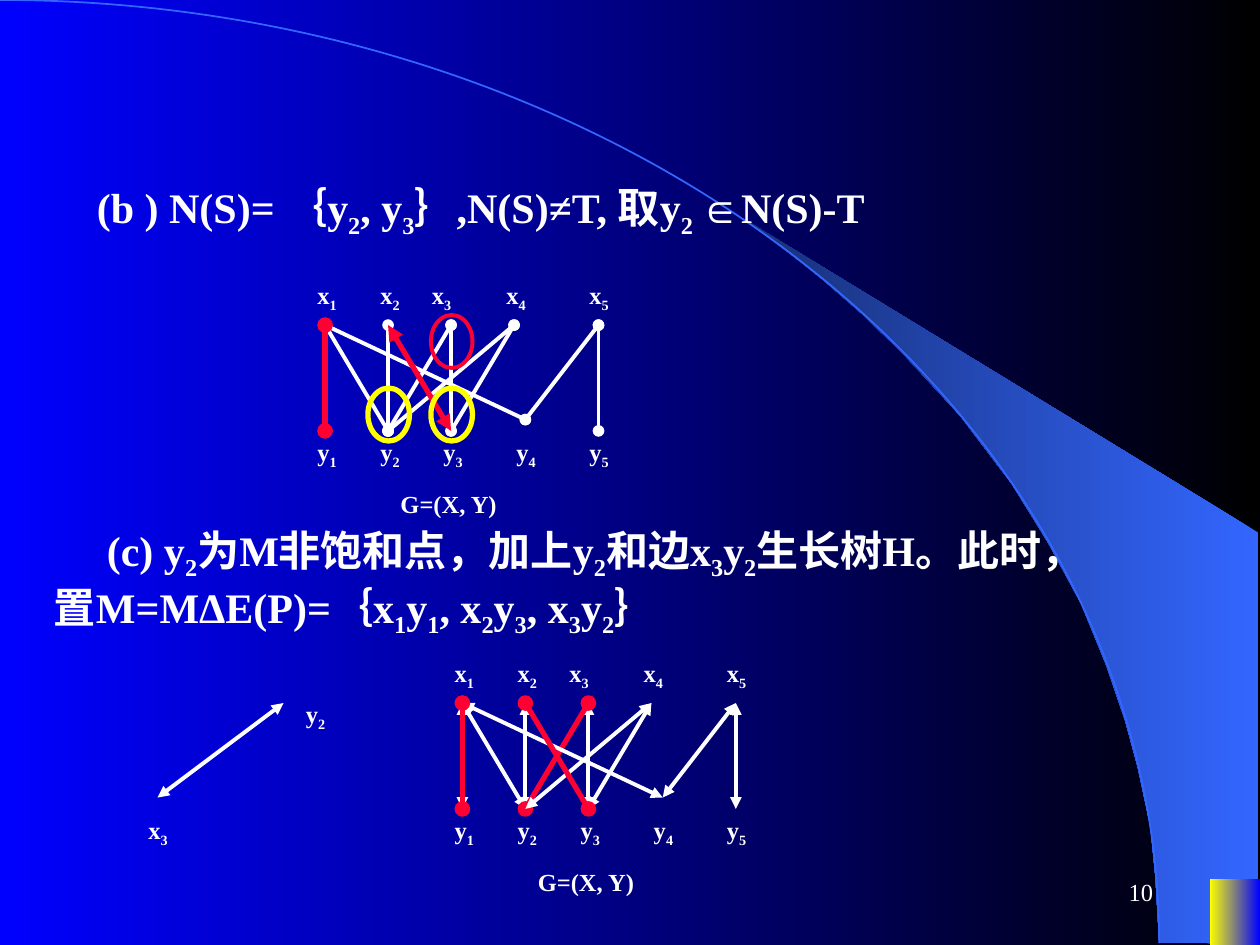
from pptx import Presentation
from pptx.dml.color import RGBColor
from pptx.enum.shapes import MSO_CONNECTOR, MSO_SHAPE
from pptx.enum.text import MSO_ANCHOR, PP_ALIGN
from pptx.oxml.ns import qn
from pptx.util import Inches, Pt
from lxml import etree

STRAIGHT = MSO_CONNECTOR.STRAIGHT
ARC, OVAL, RECT = MSO_SHAPE.ARC, MSO_SHAPE.OVAL, MSO_SHAPE.RECTANGLE
TOP, MIDDLE = MSO_ANCHOR.TOP, MSO_ANCHOR.MIDDLE
LEFT, RIGHT = PP_ALIGN.LEFT, PP_ALIGN.RIGHT
FONT = "Times New Roman"
COLORS = {
    "black": "000000", "blue": "0000FF", "sky": "3366FF", "navy": "172F75",
    "white": "FFFFFF", "red": "FF0033", "yellow": "FFFF00",
}

# Bipartite graph, measured from vertex x1
X_COLS = [0, 0.5, 1, 1.5, 2.17]
Y_COLS = [0, 0.5, 1, 1.59, 2.17]
Y_ROWS = [0.84, 0.84, 0.84, 0.75, 0.84]
X_LABELS = [-0.16, 0.34, 0.75, 1.34, 2]
Y_LABELS = [-0.16, 0.34, 0.84, 1.42, 2]
EDGES = [(1, 1), (2, 2), (3, 3), (5, 5), (1, 2), (3, 2),
         (5, 4), (1, 4), (4, 3), (4, 2), (2, 3)]

# Outer edge of the sweep, then its curved inner edge
SWEEP = [
    (9.2, 7.48), (9.99, 7.49), (9.99, 4.23), (5.89, 1.73), (6.24, 1.99),
    (6.53, 2.22), (6.85, 2.5), (7.16, 2.8), (7.62, 3.3), (8.03, 3.84),
    (8.32, 4.31), (8.58, 4.79), (8.78, 5.28), (8.93, 5.72), (9.03, 6.09),
    (9.13, 6.56), (9.17, 6.96),
]


def rgb(name):
    return RGBColor.from_string(COLORS[name])


def set_gradient(fill, right, left):
    fill.gradient()
    fill.gradient_angle = 180
    for stop, name in zip(fill.gradient_stops, (right, left)):
        stop.color.rgb = rgb(name)


def add_text(shapes, text, x, y, w, h, size=14, bold=True, align=LEFT,
             anchor=TOP, indent=0):
    """Add a text box; the parts of text between bars are subscripts."""
    tf = shapes.add_textbox(Inches(x), Inches(y), Inches(w), Inches(h)).text_frame
    tf.word_wrap = True
    tf.vertical_anchor = anchor
    p = tf.paragraphs[0]
    p.alignment = align
    if indent:
        p._p.get_or_add_pPr().set("indent", str(Inches(indent)))
    for i, part in enumerate(text.split("|")):
        if not part:
            continue
        r = p.add_run()
        r.text = part
        r.font.name, r.font.size, r.font.bold = FONT, Pt(size), bold
        r.font.color.rgb = rgb("white")
        if i % 2:
            r._r.get_or_add_rPr().set("baseline", "-25000")


def add_edge(shapes, start, end, ends, color="white", width=2.25):
    s = shapes.add_connector(STRAIGHT, *(Inches(v) for v in (*start, *end)))
    s.line.color.rgb = rgb(color)
    s.line.width = Pt(width)
    spPr = s._element.spPr
    for tag in ("a:headEnd", "a:tailEnd"):
        etree.SubElement(spPr.find(qn("a:ln")), qn(tag)).set("type", ends)
    etree.SubElement(spPr, qn("a:effectLst"))


def add_outline(shapes, kind, x, y, w, h, color, width):
    s = shapes.add_shape(kind, Inches(x), Inches(y), Inches(w), Inches(h))
    s.shadow.inherit = False
    s.fill.background()
    s.line.color.rgb = rgb(color)
    s.line.width = Pt(width)


def add_graph(shapes, x0, y0, ends, red_edges):
    """Draw G; red_edges maps an edge to its end style."""
    def draw(edge, style, **fmt):
        i, j = edge[0] - 1, edge[1] - 1
        add_edge(shapes, (x0 + X_COLS[i], y0),
                 (x0 + Y_COLS[j], y0 + Y_ROWS[j]), style, **fmt)

    red = {"color": "red", "width": 3}
    for edge in EDGES:
        if edge in red_edges:
            draw(edge, red_edges[edge], **red)
        else:
            draw(edge, ends)
    draw((1, 1), "oval", **red)
    for letter, lefts, dy in (("x", X_LABELS, -0.41), ("y", Y_LABELS, 0.84)):
        for n, dx in enumerate(lefts, 1):
            add_text(shapes, f"{letter}|{n}", x0 + dx, y0 + dy, 0.43, 0.37)
    add_text(shapes, "G=(X, Y)", x0 + 0.5, y0 + 1.25, 1.1, 0.34)


def add_backdrop(slide):
    set_gradient(slide.background.fill, "black", "blue")
    points = [(Inches(x), Inches(y)) for x, y in SWEEP]
    builder = slide.shapes.build_freeform(*points[0])
    builder.add_line_segments(points[1:], close=True)
    sweep = builder.convert_to_shape()
    corner = slide.shapes.add_shape(RECT, Inches(9.6), Inches(6.98),
                                    Inches(0.4), Inches(0.52))
    for s, right, left in ((sweep, "sky", "navy"), (corner, "blue", "yellow")):
        s.shadow.inherit = False
        s.line.fill.background()
        set_gradient(s.fill, right, left)
    add_outline(slide.shapes, ARC, -9.2, 0, 18.4, 14.97, "sky", 1)


def main():
    prs = Presentation()
    prs.slide_width, prs.slide_height = Inches(10), Inches(7.5)
    slide = prs.slides.add_slide(prs.slide_layouts[6])
    shapes = slide.shapes
    add_backdrop(slide)

    # Steps (b) and (c)
    step = {"size": 24, "anchor": MIDDLE, "indent": 0.42}
    add_text(shapes, "(b ) N(S)= ｛y|2|, y|3|｝,N(S)≠T, 取y|2 |∈N(S)-T",
             0.25, 1.39, 9.42, 0.56, **step)
    add_text(shapes, "(c) y|2|为M非饱和点，加上y|2|和边x|3|y|2|生长树H。"
             "此时，置M=MΔE(P)=｛x|1|y|1|, x|2|y|3|, x|3|y|2|｝",
             0.33, 4.11, 8.25, 1.01, **step)

    # Graph of step (b), with S and its neighbours ringed
    graph = shapes.add_group_shape().shapes
    add_graph(graph, 2.58, 2.58, "oval", {(2, 3): "triangle"})
    for x, y, color, width in ((3.42, 2.5, "red", 2.25),
                               (2.92, 3.08, "yellow", 3),
                               (3.42, 3.08, "yellow", 3)):
        add_outline(graph, OVAL, x, y, 0.33, 0.42, color, width)

    # Tree H
    tree = shapes.add_group_shape().shapes
    add_edge(tree, (1.25, 6.33), (2.25, 5.58), "triangle")
    add_text(tree, "x|3", 1.08, 6.42, 0.43, 0.37)
    add_text(tree, "y|2", 2.33, 5.5, 0.43, 0.37)

    # Graph of step (c), with the new matching
    add_graph(shapes.add_group_shape().shapes, 3.67, 5.58, "triangle",
              {(3, 2): "oval", (2, 3): "oval"})

    # Slide number
    add_text(shapes, "10", 7.17, 6.83, 2.08, 0.5, bold=False, align=RIGHT,
             anchor=MIDDLE)
    prs.save("out.pptx")


if __name__ == "__main__":
    main()
